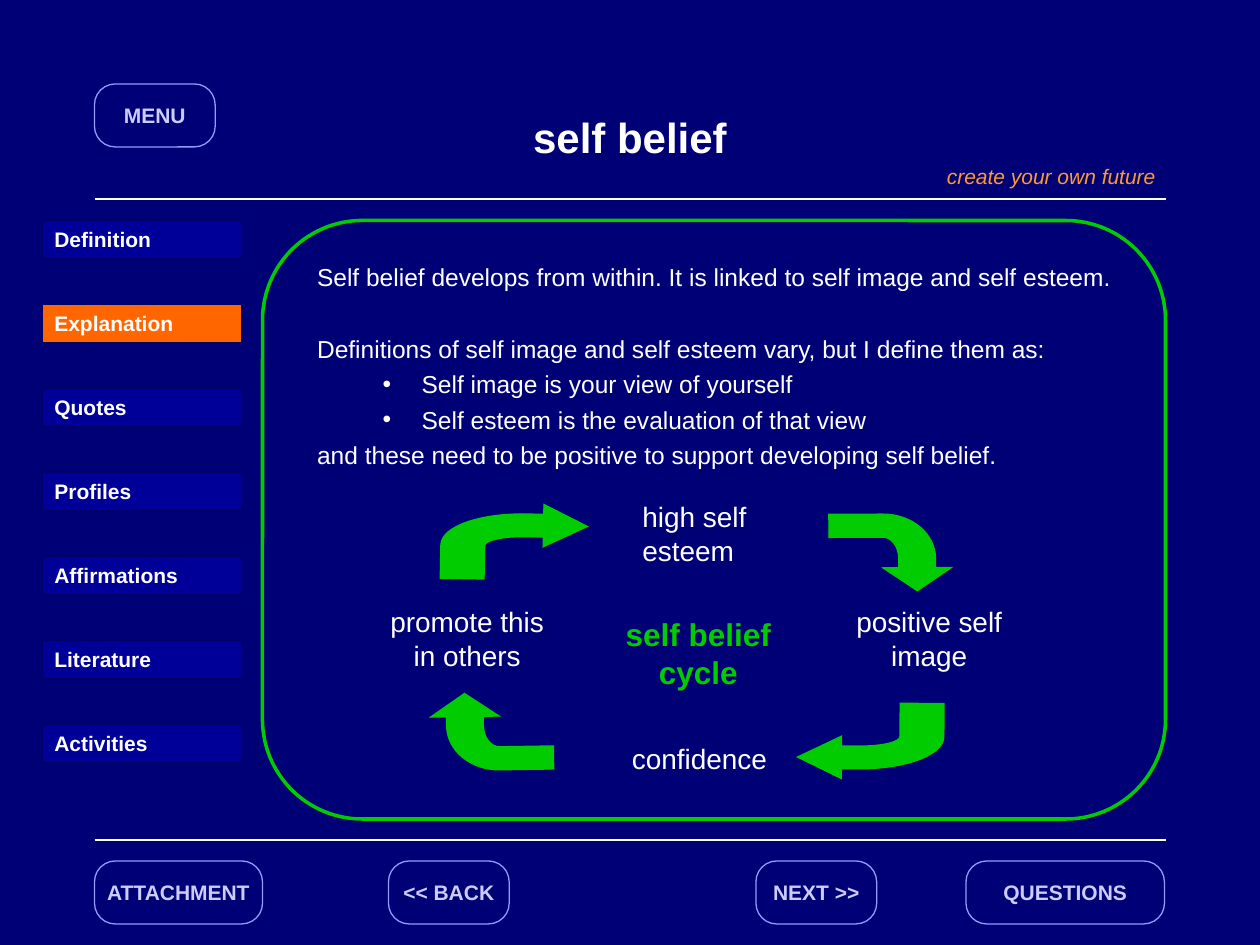
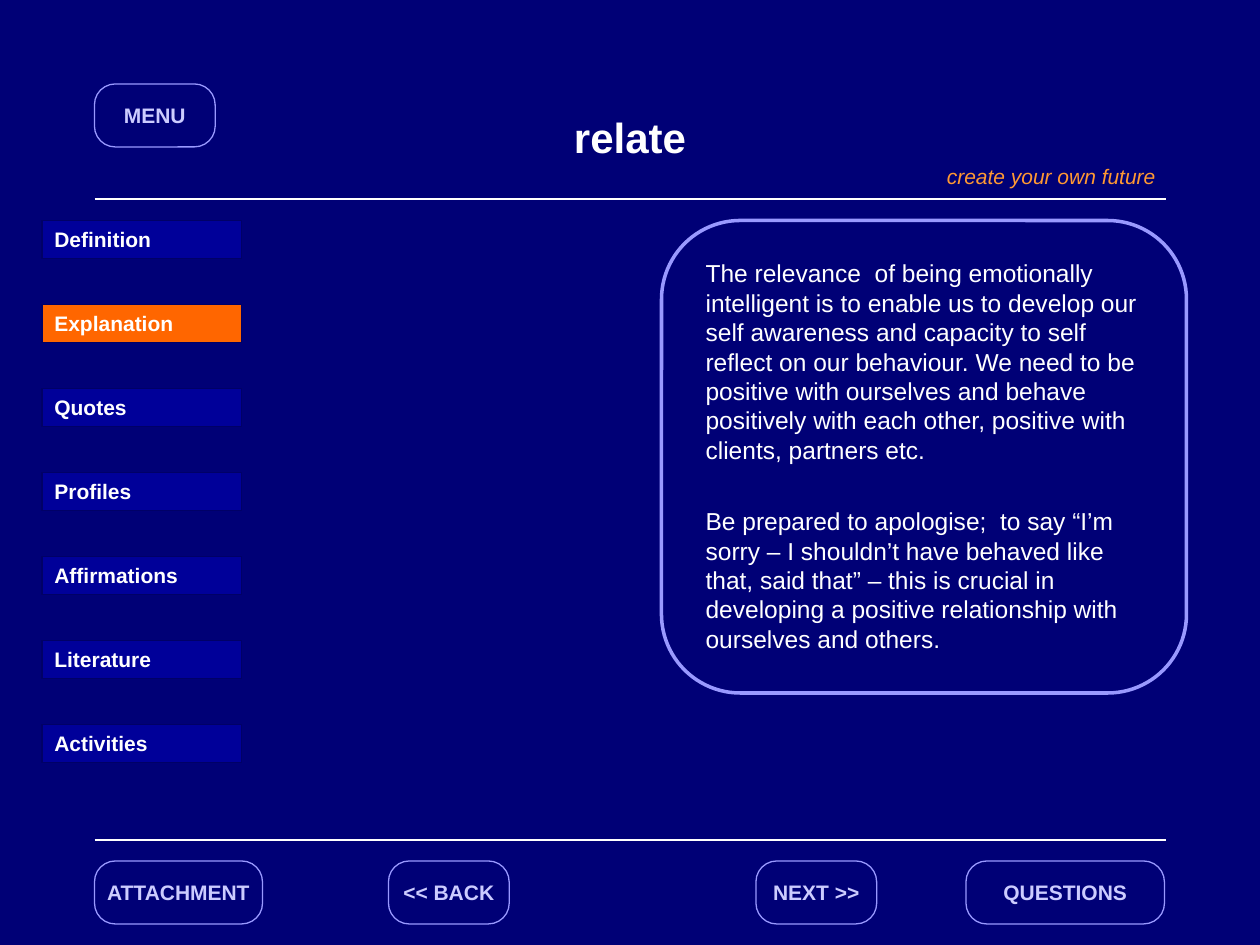
from dataclasses import dataclass

from lxml.etree import SubElement
from pptx import Presentation
from pptx.dml.color import RGBColor
from pptx.enum.shapes import MSO_CONNECTOR, MSO_SHAPE
from pptx.enum.text import MSO_ANCHOR, MSO_AUTO_SIZE, PP_ALIGN
from pptx.oxml.ns import qn
from pptx.util import Inches, Pt


@dataclass(frozen=True)
class Theme:
    font: str = "Arial"
    night: RGBColor = RGBColor(0x00, 0x00, 0x76)
    tab: RGBColor = RGBColor(0x00, 0x00, 0x99)
    tab_edge: RGBColor = RGBColor(0x00, 0x00, 0x66)
    active: RGBColor = RGBColor(0xFF, 0x66, 0x00)
    motto: RGBColor = RGBColor(0xFF, 0x99, 0x33)
    lilac: RGBColor = RGBColor(0x99, 0x99, 0xFF)
    pale: RGBColor = RGBColor(0xCC, 0xCC, 0xFF)
    green: RGBColor = RGBColor(0x00, 0xCC, 0x00)
    white: RGBColor = RGBColor(0xFF, 0xFF, 0xFF)
    small: int = 12
    body: int = 14
    step: int = 16
    centre: int = 18
    title: int = 24


theme = Theme()

prs = Presentation()
prs.slide_width, prs.slide_height = Inches(10), Inches(7.5)
CELL = prs.slide_width / 120  # grid of 120 columns by 90 rows


def write(paragraph, text, size, color, bold=False, italic=False):
    run = paragraph.add_run()
    run.text = text
    font = run.font
    font.name, font.size = theme.font, Pt(size)
    font.bold, font.italic = bold, italic
    font.color.rgb = color


def add_block(slide, area, kind=None, fill=None, edge=None, weight=0.75, corner=None):
    """Add a preset shape, or a wrapping text box when no kind is given; area is in cells."""
    box = [round(n * CELL) for n in area]
    if kind is None:
        block = slide.shapes.add_textbox(*box)
    else:
        block = slide.shapes.add_shape(kind, *box)
        block.shadow.inherit = False
        if fill is None:
            block.fill.background()
        else:
            block.fill.solid()
            block.fill.fore_color.rgb = fill
        block.line.color.rgb, block.line.width = edge, Pt(weight)
        if corner:
            block.adjustments[0] = corner
    block.text_frame.word_wrap = True
    block.text_frame.vertical_anchor = MSO_ANCHOR.TOP
    return block


# Layout: background and the places of title and body, without date, footer and number
layout = prs.slide_layouts[1]
layout.background.fill.solid()
layout.background.fill.fore_color.rgb = theme.night
for sheet in (layout, prs.slide_master):
    for holder in list(sheet.placeholders)[2:]:
        sheet.shapes.element.remove(holder.element)
places = [(9, 8, 102, 10), (29, 21, 82, 53)]
for holder, area in zip(layout.placeholders, places):
    holder.left, holder.top, holder.width, holder.height = [round(n * CELL) for n in area]

belief = prs.slides.add_slide(layout)
relate = prs.slides.add_slide(layout)

# Rules, motto and footer buttons are built once and moved to the layout
shared = []
for row in (18.96, 80):
    rule = belief.shapes.add_connector(
        MSO_CONNECTOR.STRAIGHT, *[round(n * CELL) for n in (9, row, 111, row)])
    rule.line.color.rgb, rule.line.width = theme.white, Pt(1.25)
    SubElement(rule.element.spPr, qn("a:effectLst"))
    shared.append(rule)

motto = add_block(belief, (89, 15, 23, 3.6))
write(motto.text_frame.paragraphs[0], "create your own future",
      theme.small, theme.motto, italic=True)
shared.append(motto)

buttons = [
    ([belief], "<< BACK", (37, 82, 11.5, 6)),
    ([belief], "NEXT >>", (72, 82, 11.5, 6)),
    ([belief], "QUESTIONS", (92, 82, 18.9, 6)),
    ([belief, relate], "ATTACHMENT", (9, 82, 16, 6)),
    ([belief, relate], "MENU", (9, 8, 11.5, 6)),
]
for slides, caption, area in buttons:
    for slide in slides:
        button = add_block(slide, area, MSO_SHAPE.ROUNDED_RECTANGLE,
                           theme.night, theme.lilac, corner=0.33)
        frame = button.text_frame
        frame.word_wrap = False
        frame.vertical_anchor = MSO_ANCHOR.MIDDLE
        frame.paragraphs[0].alignment = PP_ALIGN.CENTER
        write(frame.paragraphs[0], caption, theme.small, theme.pale, bold=True)
        if len(slides) == 1:
            shared.append(button)
for part in shared:
    layout.shapes.element.append(part.element)

# Titles, section tabs and panels
sections = ["Definition", "Explanation", "Quotes", "Profiles",
            "Affirmations", "Literature", "Activities"]
panels = [
    (belief, "self belief", (25, 21, 86, 57), theme.green),
    (relate, "relate", (63, 21, 50, 45), theme.lilac),
]
for slide, heading, area, edge in panels:
    title = slide.shapes.title.text_frame.paragraphs[0]
    title.alignment = PP_ALIGN.CENTER
    write(title, heading, theme.title, theme.white, bold=True)
    for index, section in enumerate(sections):
        tab = add_block(slide, (4, 21 + 8 * index, 19, 3.6), MSO_SHAPE.RECTANGLE,
                        theme.active if section == "Explanation" else theme.tab,
                        theme.tab_edge)
        tab.text_frame.paragraphs[0].alignment = PP_ALIGN.LEFT
        write(tab.text_frame.paragraphs[0], section, theme.small, theme.white, bold=True)
    add_block(slide, area, MSO_SHAPE.ROUNDED_RECTANGLE, edge=edge, weight=2)

# Body text: (text, level, space before in points)
TIGHT, WIDE = 3.5, 24
belief_lines = [
    ("Self belief develops from within. It is linked to self image and self esteem.", 0, TIGHT),
    ("Definitions of self image and self esteem vary, but I define them as:", 0, WIDE),
    ("Self image is your view of yourself", 1, TIGHT),
    ("Self esteem is the evaluation of that view", 1, TIGHT),
    ("and these need to be positive to support developing self belief.", 0, TIGHT),
]
relate_lines = [
    ("The relevance  of being emotionally intelligent is to enable us to develop our self "
     "awareness and capacity to self reflect on our behaviour. We need to be positive with "
     "ourselves and behave positively with each other, positive with clients, partners etc.",
     0, TIGHT),
    ("Be prepared to apologise;  to say “I’m sorry – I shouldn’t have behaved like that, "
     "said that” – this is crucial in developing a positive relationship with ourselves "
     "and others.", 0, WIDE),
]
body = relate.placeholders[1]
body.left, body.top, body.width, body.height = [round(n * CELL) for n in (66, 24, 45, 54)]
belief.placeholders[1].text_frame.margin_top = Inches(0.33)

for slide, lines in ((belief, belief_lines), (relate, relate_lines)):
    frame = slide.placeholders[1].text_frame
    frame.auto_size = MSO_AUTO_SIZE.NONE
    for index, (text, level, gap) in enumerate(lines):
        paragraph = frame.add_paragraph() if index else frame.paragraphs[0]
        paragraph.level, paragraph.space_before = level, Pt(gap)
        props = paragraph._p.get_or_add_pPr()
        props.set("marL", str(Inches(0.83 * level)))
        props.set("indent", str(Inches(-0.31 * level)))
        if level:
            SubElement(props, qn("a:buChar")).set("char", "•")
        else:
            SubElement(props, qn("a:buNone"))
        write(paragraph, text, theme.body, theme.white)

# Self belief cycle: stages around a centre
stages = [
    ("high self esteem", (60, 47, 14, 7.7), PP_ALIGN.LEFT),
    ("positive self image", (80, 57, 17, 7.7), PP_ALIGN.CENTER),
    ("confidence", (59, 70, 16, 4.4), PP_ALIGN.LEFT),
    ("promote this in others", (35, 57, 19, 7.7), PP_ALIGN.CENTER),
]
for stage, area, alignment in stages:
    paragraph = add_block(belief, area).text_frame.paragraphs[0]
    paragraph.alignment = alignment
    write(paragraph, stage, theme.step, theme.white)
paragraph = add_block(belief, (57, 58, 19, 8.4)).text_frame.paragraphs[0]
paragraph.alignment = PP_ALIGN.CENTER
write(paragraph, "self belief cycle", theme.centre, theme.green, bold=True)

# Bent arrow outline in shares of its box; each bend is two handles and an end point
outer_bend = [(0, 0.32), (0.26, 0.13), (0.58, 0.13)]
head = [(0.7, 0.13), (0.7, 0), (1, 0.28), (0.7, 0.56), (0.7, 0.43)]
inner_bend = [(0.42, 0.43), (0.3, 0.49), (0.3, 0.56)]
outline = [(0, 1), (0, 0.56), *outer_bend, *head, (0.58, 0.43), *inner_bend, (0.3, 1)]
bend_starts = [outline.index(bend[0]) - 1 for bend in (outer_bend, inner_bend)]

arrows = [  # left, top, width, height in inches, and turn in degrees
    (6.76, 3.9, 0.61, 0.97, 89.7),
    (6.33, 5.58, 1.16, 0.6, 180.4),
    (3.6, 5.32, 0.61, 0.97, 269.1),
    (3.5, 4, 1.16, 0.6, 1.1),
]
for left, top, width, height, turn in arrows:
    points = [(Inches(left + x * width), Inches(top + y * height)) for x, y in outline]
    builder = belief.shapes.build_freeform(*points[0])
    builder.add_line_segments(points[1:], close=True)
    arrow = builder.convert_to_shape()
    segments = list(arrow.element.iter(qn("a:lnTo")))
    for start in bend_starts:
        curve, *rest = segments[start:start + 3]
        curve.tag = qn("a:cubicBezTo")
        for segment in rest:
            curve.append(segment[0])
            segment.getparent().remove(segment)
    arrow.rotation = turn
    arrow.shadow.inherit = False
    arrow.fill.solid()
    arrow.fill.fore_color.rgb = theme.green
    arrow.line.color.rgb, arrow.line.width = theme.green, Pt(0.75)
    SubElement(arrow.element.spPr.find(qn("a:ln")), qn("a:miter")).set("lim", "800000")

prs.save("out.pptx")
